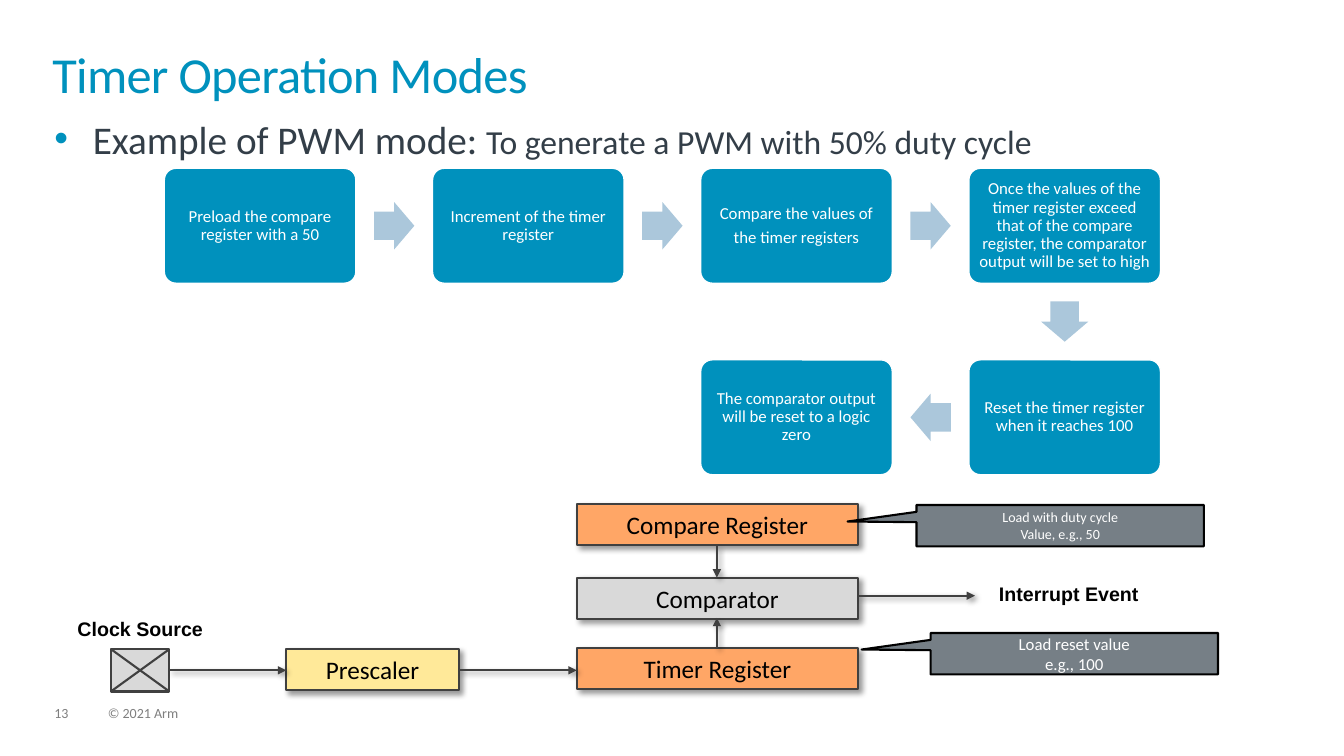
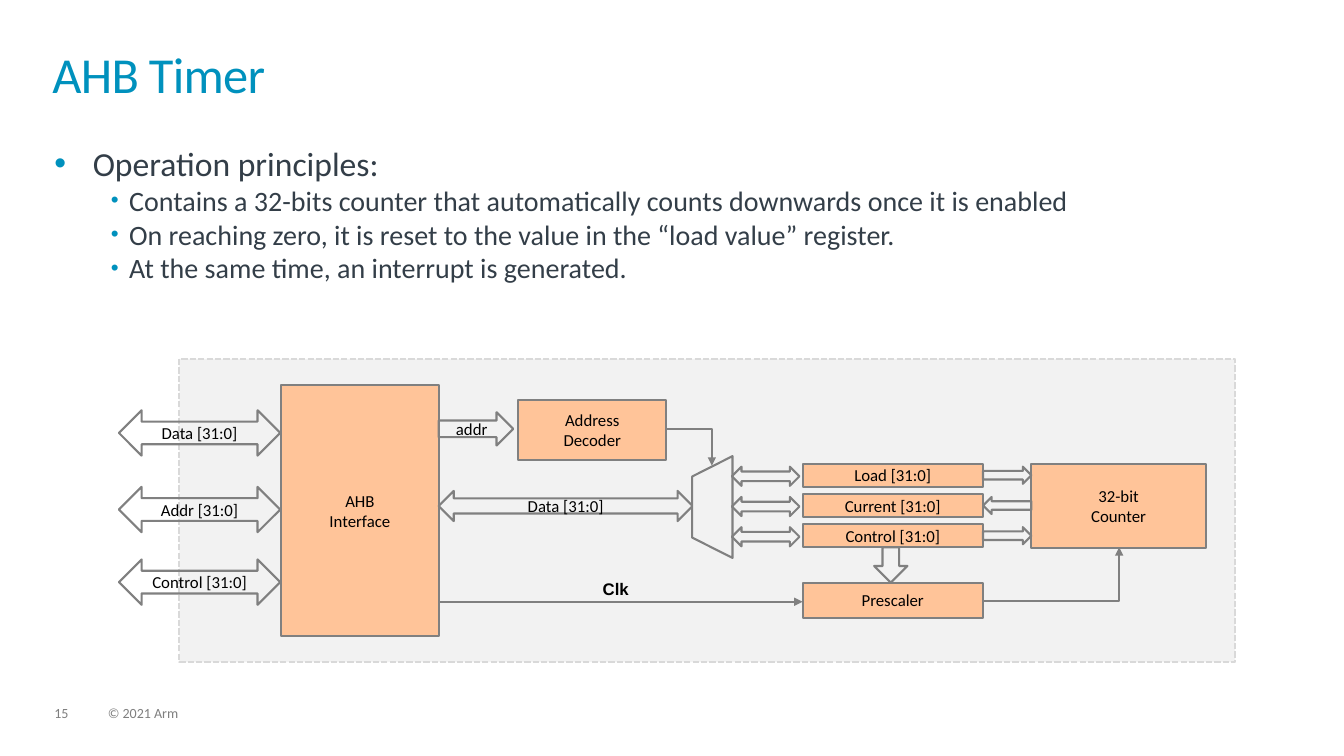
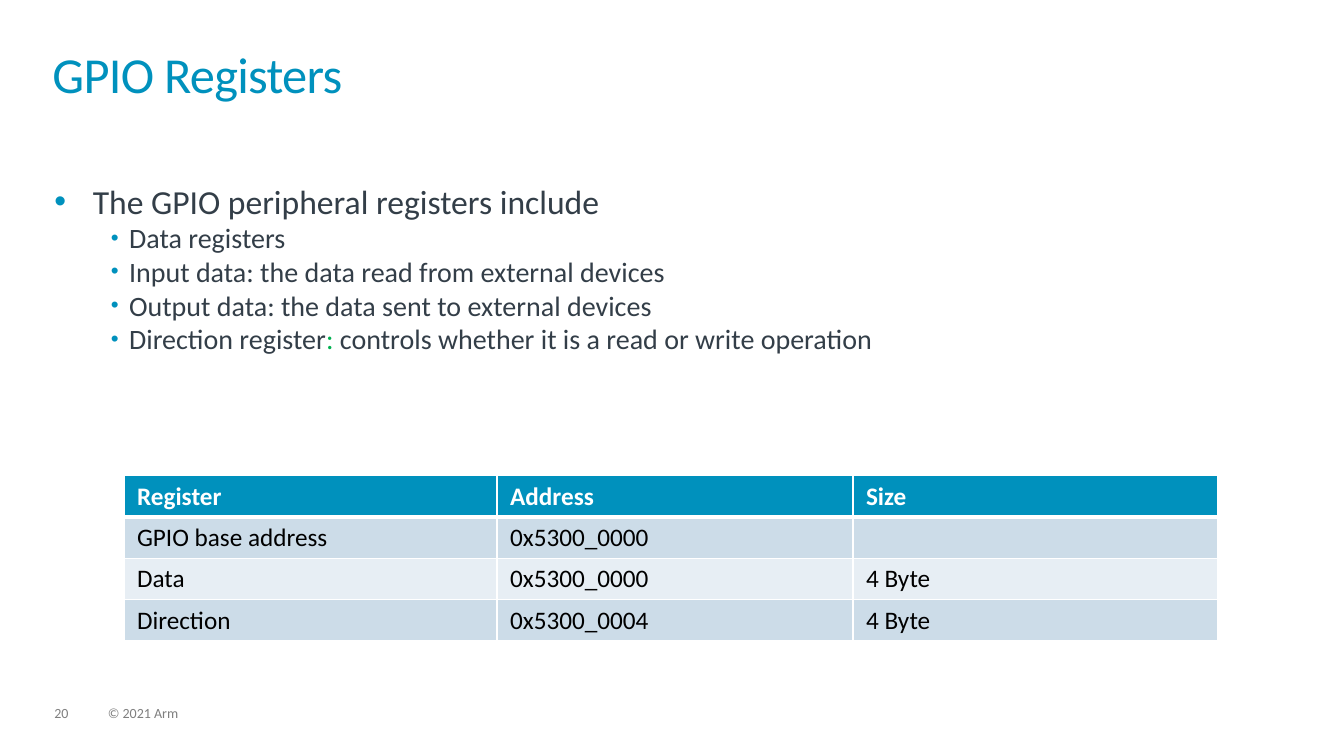
from dataclasses import dataclass
from math import atan2, degrees
from typing import Any, NamedTuple, Optional

from lxml import etree
from pptx import Presentation
from pptx.dml.color import RGBColor
from pptx.enum import dml, shapes, text
from pptx.oxml import ns
from pptx.util import Inches, Pt

SHAPE = shapes.MSO_SHAPE
ALIGN = text.PP_ALIGN
ANCHOR = text.MSO_ANCHOR
Rect = tuple[float, float, float, float]
Point = tuple[float, float]


@dataclass(frozen=True)
class Theme:
    font: str = "Calibri"
    label_font: str = "Arial"
    accent: str = "0091BD"
    ink: str = "333E48"
    muted: str = "7F7F7F"
    white: str = "FFFFFF"
    black: str = "000000"
    green: str = "00B050"
    step_arrow: str = "ABC7DB"
    orange: str = "FFA666"
    peach: str = "FFC499"
    yellow: str = "FFE999"
    grey: str = "D9D9D9"
    panel: str = "F2F2F2"
    callout: str = "767F86"
    dark_line: str = "404040"
    mid_line: str = "808080"
    band_dark: str = "CCDCE8"
    band_light: str = "E7EEF4"
    title_size: int = 36
    lead_size: int = 28
    body_size: int = 24
    sub_size: int = 20
    block_size: int = 18
    label_size: int = 14
    small_size: int = 12
    tiny_size: int = 10


T = Theme()


class Run(NamedTuple):
    text: str
    size: int = T.sub_size
    color: str = T.ink


class Item(NamedTuple):
    runs: tuple[Run, ...]
    level: int = 0


class Box(NamedTuple):
    kind: Any
    at: Rect
    text: str = ""
    fill: Optional[str] = None
    line: Optional[str] = T.mid_line
    width: float = 1.5
    size: int = T.small_size
    color: str = T.black
    adj: tuple[float, ...] = ()
    rotation: float = 0
    shadow: bool = False
    wrap: bool = False
    inset: Optional[float] = None
    para: dict[str, Any] = {}


class Line(NamedTuple):
    start: Point
    end: Point
    color: str = T.dark_line
    arrow: bool = True
    shadow: bool = False
    bent: bool = False


def assign(obj: Any, values: dict[str, Any]) -> None:
    for name, value in values.items():
        setattr(obj, name, value)


def place(sp: Any, at: Rect) -> None:
    assign(sp, dict(zip(("left", "top", "width", "height"), map(Inches, at))))


def child(parent: Any, tag: str, **attrs: Any) -> Any:
    el = etree.SubElement(parent, ns.qn(tag))
    for name, value in attrs.items():
        el.set(name, str(value))
    return el


def style_font(font: Any, size: float, color: str, name: str = T.font, bold: bool = False) -> None:
    assign(font, {"size": Pt(size), "name": name, "bold": bold})
    font.color.rgb = RGBColor.from_string(color)


def set_insets(tf: Any, inset: float) -> None:
    assign(tf, {f"margin_{side}": Inches(inset) for side in ("left", "top", "right", "bottom")})


def write(tf: Any, content: str, size: float, color: str, name: str = T.font,
          bold: bool = False, **para: Any) -> None:
    """Put each line of content in its own paragraph."""
    for i, words in enumerate(content.split("\n")):
        p = tf.paragraphs[0] if i == 0 else tf.add_paragraph()
        assign(p, para)
        r = p.add_run()
        r.text = words
        style_font(r.font, size, color, name, bold)


def drop_shadow(effects: Any) -> None:
    shadow = child(effects, "a:outerShdw", blurRad=Pt(4), dist=Pt(3), dir=45 * 60000,
                   algn="tl", rotWithShape=0)
    child(child(shadow, "a:srgbClr", val=T.black), "a:alpha", val=40000)


def draw_box(s: Any, box: Box) -> Any:
    sp = s.shapes.add_shape(box.kind, *map(Inches, box.at))
    sp.rotation = box.rotation
    for i, value in enumerate(box.adj):
        sp.adjustments[i] = value
    if box.fill:
        sp.fill.solid()
        sp.fill.fore_color.rgb = RGBColor.from_string(box.fill)
    else:
        sp.fill.background()
    if box.line:
        sp.line.color.rgb = RGBColor.from_string(box.line)
        sp.line.width = Pt(box.width)
    else:
        sp.line.fill.background()
    sp.shadow.inherit = False
    if box.shadow:
        drop_shadow(sp._element.spPr.find(ns.qn("a:effectLst")))
    if box.text:
        tf = sp.text_frame
        assign(tf, {"word_wrap": box.wrap, "vertical_anchor": ANCHOR.MIDDLE})
        if box.inset is not None:
            set_insets(tf, box.inset)
        write(tf, box.text, box.size, box.color, alignment=ALIGN.CENTER, **box.para)
    return sp


def draw_line(s: Any, line: Line) -> None:
    kind = shapes.MSO_CONNECTOR.ELBOW if line.bent else shapes.MSO_CONNECTOR.STRAIGHT
    c = s.shapes.add_connector(kind, *map(Inches, line.start + line.end))
    c.line.color.rgb = RGBColor.from_string(line.color)
    c.line.width = Pt(1.5)
    props = c._element.spPr
    if line.bent:
        props.find(ns.qn("a:prstGeom")).set("prst", "bentConnector2")
    if line.arrow:
        child(props.find(ns.qn("a:ln")), "a:tailEnd", type="triangle")
    effects = child(props, "a:effectLst")
    if line.shadow:
        drop_shadow(effects)


def add_label(s: Any, at: Rect, content: str, size: float) -> None:
    tf = s.shapes.add_textbox(*map(Inches, at)).text_frame
    tf.word_wrap = True
    write(tf, content, size, T.black, T.label_font, True)


def add_bullet(p: Any, level: int) -> None:
    margin, indent = ((0.38, -0.38), (0.74, -0.18))[level]
    pr = p._p.get_or_add_pPr()
    pr.set("marL", str(Inches(margin)))
    pr.set("indent", str(Inches(indent)))
    child(child(pr, "a:buClr"), "a:srgbClr", val=T.accent)
    child(pr, "a:buSzPct", val=80000 if level else 100000)
    child(pr, "a:buFont", typeface=T.label_font)
    child(pr, "a:buChar", char="•")


def add_slide(prs: Any, number: int, title: str, body_at: Rect, items: list[Item]) -> Any:
    """Start a slide with its title, bullet list and footer."""
    s = prs.slides.add_slide(prs.slide_layouts[1])
    body = s.placeholders[1]
    for sp, at in ((s.shapes.title, (0.52, 0.52, 12.28, 0.72)), (body, body_at)):
        place(sp, at)
        set_insets(sp.text_frame, 0)
        assign(sp.text_frame, {"vertical_anchor": ANCHOR.TOP, "word_wrap": True,
                               "auto_size": text.MSO_AUTO_SIZE.NONE})
    tf = s.shapes.title.text_frame
    write(tf, title, T.title_size, T.accent, alignment=ALIGN.LEFT, line_spacing=0.85)
    tf.paragraphs[0].runs[0]._r.get_or_add_rPr().set("spc", "-50")

    for i, item in enumerate(items):
        tf = body.text_frame
        p = tf.paragraphs[0] if i == 0 else tf.add_paragraph()
        add_bullet(p, item.level)
        assign(p, {"level": item.level, "space_before": Pt(0)})
        for run in item.runs:
            r = p.add_run()
            r.text = run.text
            style_font(r.font, run.size, run.color)

    for left, width, content in ((0.54, 0.34, str(number)), (1.07, 5.07, "© 2021 Arm")):
        tf = s.shapes.add_textbox(*map(Inches, (left, 7.01, width, 0.15))).text_frame
        tf.word_wrap = True
        set_insets(tf, 0)
        write(tf, content, T.tiny_size, T.muted, line_spacing=0.9)
    return s


def sub_items(*lines: str) -> list[Item]:
    return [Item((Run(words),), 1) for words in lines]


def draw_steps(s: Any) -> None:
    """Lay the steps on a grid and point an arrow from each to the next."""
    width, height = 1.9, 1.14
    arrow_w, arrow_h = 0.4, 0.47
    steps = [
        (0, 0, "Preload the compare register with a 50"),
        (1, 0, "Increment of the timer register"),
        (2, 0, "Compare the values of\nthe timer registers"),
        (3, 0, "Once the values of the timer register exceed that of the compare register, "
               "the comparator output will be set to high"),
        (3, 1, "Reset the timer register when it reaches 100"),
        (2, 1, "The comparator output will be reset to a logic zero"),
    ]
    centres: list[Point] = []
    for col, row, words in steps:
        left, top = 1.63 + 2.66 * col, 1.67 + 1.9 * row
        centres.append((left + width / 2, top + height / 2))
        draw_box(s, Box(SHAPE.ROUNDED_RECTANGLE, (left, top, width, height), words, T.accent,
                        T.white, 1, color=T.white, adj=(0.1,), wrap=True, inset=0.05,
                        para={"line_spacing": 0.9, "space_after": Pt(4)}))
    for (x1, y1), (x2, y2) in zip(centres, centres[1:]):
        at = ((x1 + x2 - arrow_w) / 2, (y1 + y2 - arrow_h) / 2, arrow_w, arrow_h)
        draw_box(s, Box(SHAPE.RIGHT_ARROW, at, fill=T.step_arrow, line=None, adj=(0.6, 0.5),
                        rotation=degrees(atan2(y2 - y1, x2 - x1))))


def build_modes(prs: Any) -> None:
    s = add_slide(prs, 13, "Timer Operation Modes", (0.54, 1.14, 12.23, 4.47), [
        Item((Run("Example of PWM mode: ", T.lead_size),
              Run("To generate a PWM with 50% duty cycle", T.body_size)))])
    draw_steps(s)

    for left, top, width, words, fill in (
        (5.72, 6.43, 2.79, "Timer Register", T.orange),
        (5.72, 5, 2.79, "Compare Register", T.orange),
        (5.72, 5.73, 2.79, "Comparator", T.grey),
        (2.84, 6.44, 1.71, "Prescaler", T.yellow),
    ):
        draw_box(s, Box(SHAPE.RECTANGLE, (left, top, width, 0.41), words, fill, T.dark_line,
                        size=T.block_size, shadow=True))

    draw_box(s, Box(SHAPE.RECTANGLE, (1.1, 6.44, 0.58, 0.42), fill=T.grey, line=T.dark_line))
    for y1, y2 in ((6.44, 6.86), (6.86, 6.44)):
        draw_line(s, Line((1.1, y1), (1.68, y2), arrow=False))

    for start, end in (
        ((1.68, 6.65), (2.84, 6.65)),
        ((4.55, 6.65), (5.72, 6.65)),
        ((7.11, 6.43), (7.11, 6.13)),
        ((7.11, 5.42), (7.11, 5.73)),
        ((8.51, 5.91), (9.67, 5.91)),
    ):
        draw_line(s, Line(start, end, shadow=True))

    add_label(s, (9.81, 5.72, 2.26, 0.34), "Interrupt Event", T.label_size)
    add_label(s, (0.67, 6.07, 2, 0.34), "Clock Source", T.label_size)
    for left, top, words, size in (
        (9.09, 5.01, "Load with duty cycle\nValue, e.g., 50", T.tiny_size),
        (9.23, 6.28, "Load reset value\ne.g., 100", T.small_size),
    ):
        draw_box(s, Box(SHAPE.RECTANGULAR_CALLOUT, (left, top, 2.85, 0.41), words, T.callout,
                        T.black, size=size, color=T.white, adj=(-0.74, -0.1)))


def build_timer(prs: Any) -> None:
    s = add_slide(prs, 15, "AHB Timer", (0.54, 1.42, 12.23, 4.85), [
        Item((Run("Operation principles:", T.body_size),)),
        *sub_items(
            "Contains a 32-bits counter that automatically counts downwards once it is enabled",
            "On reaching zero, it is reset to the value in the “load value” register.",
            "At the same time, an interrupt is generated.")])
    panel = draw_box(s, Box(SHAPE.RECTANGLE, (1.78, 3.56, 10.47, 3.01), fill=T.panel, line=T.grey))
    panel.line.dash_style = dml.MSO_LINE.SQUARE_DOT
    draw_line(s, Line((4.18, 5.97), (7.96, 5.97), T.mid_line))

    both, right = SHAPE.LEFT_RIGHT_ARROW, SHAPE.RIGHT_ARROW
    registers = ("Load [31:0]", "Current [31:0]", "Control [31:0]")
    blocks = [
        ((2.79, 3.82, 1.56, 2.49), "AHB\nInterface"),
        ((5.14, 3.97, 1.47, 0.59), "Address\nDecoder"),
        ((10.23, 4.6, 1.73, 0.84), "32-bit\nCounter"),
        ((7.96, 5.78, 1.79, 0.35), "Prescaler"),
        *(((7.96, 4.6 + 0.3 * i, 1.79, 0.23), name) for i, name in enumerate(registers)),
    ]
    for at, words in blocks:
        draw_box(s, Box(SHAPE.FLOWCHART_PROCESS, at, words, T.peach))

    buses = ((4.07, "Data [31:0]"), (4.83, "Addr [31:0]"), (5.55, "Control [31:0]"))
    arrows = [
        *(Box(both, (1.18, top, 1.6, 0.45), words) for top, words in buses),
        Box(right, (4.35, 4.09, 0.74, 0.33), "addr"),
        Box(both, (4.35, 4.87, 2.52, 0.3), "Data [31:0]"),
        Box(SHAPE.FLOWCHART_MANUAL_OPERATION, (6.56, 4.83, 1.01, 0.4), fill=T.panel, rotation=90),
        Box(right, (8.66, 5.44, 0.35, 0.33), rotation=90),
    ]
    for i in range(len(registers)):
        top = 4.63 + 0.3 * i
        arrows += [Box(both, (7.26, top, 0.67, 0.19)),
                   Box(right, (9.75, top, 0.48, 0.17), rotation=180 if i == 1 else 0)]
    for arrow in arrows:
        draw_box(s, arrow)

    for start, end in (((6.61, 4.26), (7.06, 4.62)), ((9.75, 5.96), (11.1, 5.43))):
        draw_line(s, Line(start, end, T.mid_line, bent=True))
    add_label(s, (5.88, 5.69, 1.04, 0.3), "Clk", T.small_size)


def set_borders(cell: Any, widths: dict[str, float]) -> None:
    pr = cell._tc.get_or_add_tcPr()
    for i, (side, width) in enumerate(widths.items()):
        ln = child(pr, f"a:ln{side}", w=Pt(width))
        child(child(ln, "a:solidFill"), "a:srgbClr", val=T.white)
        pr.insert(i, ln)


def build_registers(prs: Any) -> None:
    s = add_slide(prs, 20, "GPIO Registers", (0.54, 1.79, 12.23, 2.71), [
        Item((Run("The GPIO peripheral registers include", T.body_size),)),
        *sub_items("Data registers",
                   "Input data: the data read from external devices",
                   "Output data: the data sent to external devices"),
        Item((Run("Direction register"), Run(": ", color=T.green),
              Run("controls whether it is a read or write operation")), 1)])
    rows = (
        ("Register", "Address", "Size"),
        ("GPIO base address", "0x5300_0000", ""),
        ("Data", "0x5300_0000", "4 Byte"),
        ("Direction", "0x5300_0004", "4 Byte"),
    )
    fills = (T.accent, T.band_dark, T.band_light, T.band_dark)
    table = s.shapes.add_table(len(rows), 3, *map(Inches, (1.23, 4.72, 10.85, 1.62))).table
    for col, width in zip(table.columns, (3.7, 3.53, 3.62)):
        col.width = Inches(width)
    for i, (values, fill) in enumerate(zip(rows, fills)):
        table.rows[i].height = Inches(0.41)
        header = i == 0
        for cell, words in zip(table.rows[i].cells, values):
            assign(cell, {"margin_left": Inches(0.13), "margin_right": Inches(0.13),
                          "vertical_anchor": ANCHOR.MIDDLE})
            cell.fill.solid()
            cell.fill.fore_color.rgb = RGBColor.from_string(fill)
            set_borders(cell, {"L": 1, "R": 1, "T": 3 if i == 1 else 1, "B": 3 if header else 1})
            if words:
                write(cell.text_frame, words, T.block_size, T.white if header else T.black,
                      bold=header)


def main() -> None:
    prs = Presentation()
    assign(prs, {"slide_width": Inches(13.33), "slide_height": Inches(7.5)})
    for build in (build_modes, build_timer, build_registers):
        build(prs)
    prs.save("out.pptx")


if __name__ == "__main__":
    main()
